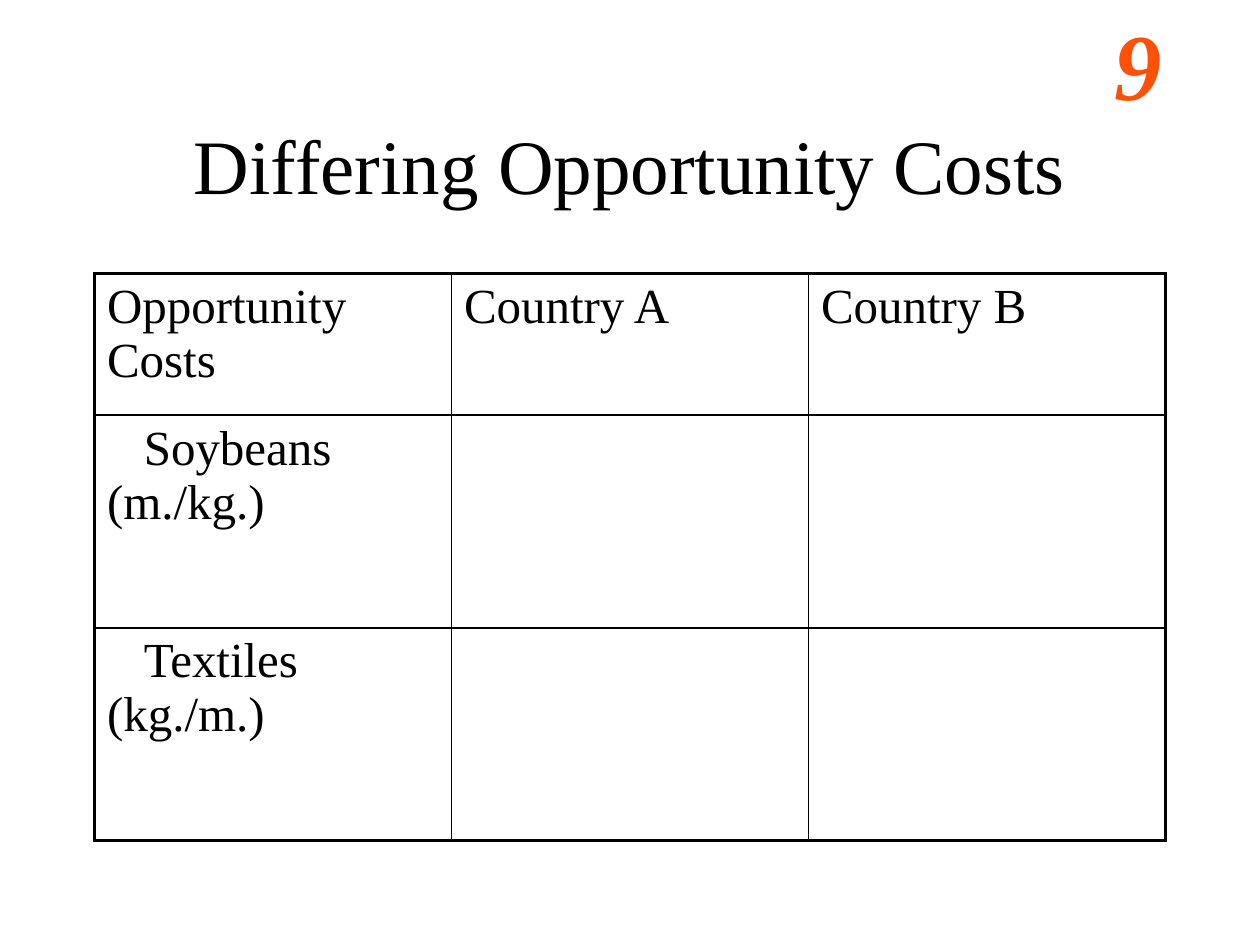
"""Build the opportunity cost slide with its title, number and table."""
from lxml import etree
from pptx import Presentation
from pptx.dml.color import RGBColor
from pptx.enum.text import MSO_ANCHOR, PP_ALIGN
from pptx.oxml.ns import qn
from pptx.util import Inches, Pt

CENTER, LEFT = PP_ALIGN.CENTER, PP_ALIGN.LEFT
MIDDLE, TOP = MSO_ANCHOR.MIDDLE, MSO_ANCHOR.TOP
BLACK, ORANGE = "000000", "FF5008"
THICK, THIN = Pt(2.25), Pt(1)


def add_span(para, text, size, color=BLACK):
    span = para.add_run()
    span.text = text
    span.font.name = "Times New Roman"
    span.font.size = Pt(size)
    span.font.color.rgb = RGBColor.from_string(color)
    return span


def add_border(cell, side, width):
    line = etree.SubElement(cell._tc.get_or_add_tcPr(), qn(f"a:ln{side}"), w=str(width))
    fill = etree.SubElement(line, qn("a:solidFill"))
    etree.SubElement(fill, qn("a:srgbClr"), val=BLACK)


deck = Presentation()
deck.slide_width, deck.slide_height = Inches(10), Inches(7.5)
page = deck.slides.add_slide(deck.slide_layouts[6])

headings = [
    ("9", 54, ORANGE, LEFT, TOP, (8.75, 0, 1.17, 1)),
    ("Differing Opportunity Costs", 44, BLACK, CENTER, MIDDLE, (0.75, 0.67, 8.5, 1.25)),
]
for text, size, color, align, anchor, place in headings:
    box = page.shapes.add_textbox(*map(Inches, place))
    box.text_frame.word_wrap = True
    box.text_frame.vertical_anchor = anchor
    para = box.text_frame.paragraphs[0]
    para.alignment = align
    span = add_span(para, text, size, color)
    span.font.bold = span.font.italic = color == ORANGE

rows = [
    ["Opportunity Costs", "Country A", "Country B"],
    ["Soybeans\n(m./kg.)", "", ""],
    ["Textiles (kg./m.)", "", ""],
]
table_width, table_height = Inches(8.5), Inches(4.5)
table = page.shapes.add_table(
    3, 3, Inches(0.75), Inches(2.17), table_width, table_height).table
table.first_row = table.horz_banding = False
for column in table.columns:
    column.width = table_width // 3
for row, share in zip(table.rows, (2, 3, 3)):
    row.height = table_height * share // 8

for row_index, texts in enumerate(rows):
    for column_index, text in enumerate(texts):
        cell = table.cell(row_index, column_index)
        outer_sides = {"L": column_index == 0, "R": column_index == 2,
                       "T": row_index == 0, "B": row_index == 2}
        for side, is_outer in outer_sides.items():
            add_border(cell, side, THICK if is_outer else THIN)
        cell.fill.background()
        para = cell.text_frame.paragraphs[0]
        if row_index and text:
            para._p.get_or_add_pPr().set("indent", str(Pt(21)))
        for line_index, line in enumerate(text.splitlines()):
            if line_index:
                para.add_line_break()
            add_span(para, line, 28)

deck.save("out.pptx")
